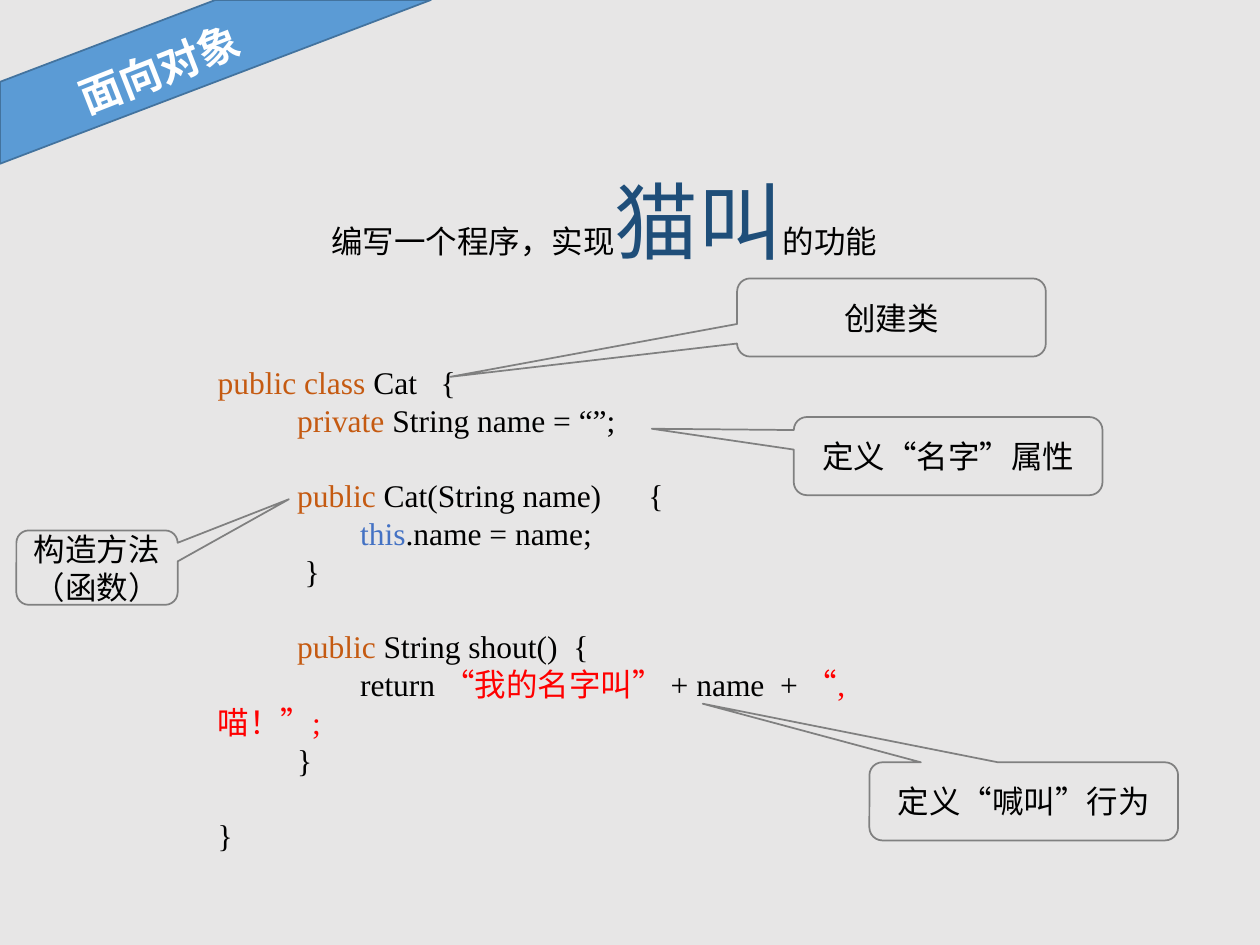
from lxml import etree
from pptx import Presentation
from pptx import util as u
from pptx.dml.color import RGBColor
from pptx.enum import shapes, text
from pptx.oxml.ns import qn

CJK, SERIF = "Noto Sans CJK SC", "Times New Roman"
BLACK, ORANGE, BLUE, RED = "000000", "C55A11", "4472C4", "FF0000"
LINE_HEIGHT = 21.6  # points, the gap left by one empty code line

# Code lines: first-line indent, empty lines above, coloured spans
CODE = [
    (0, 0, [("public class", ORANGE), (" Cat   {", BLACK)]),
    (0.63, 0, [("private", ORANGE), (" String name = “”;", BLACK)]),
    (0.63, 1, [("public", ORANGE), (" Cat(String name)      {", BLACK)]),
    (1.13, 0, [("this", BLUE), (".name = name;", BLACK)]),
    (0.69, 0, [("}", BLACK)]),
    (0.63, 1, [("public", ORANGE), (" String shout()  {", BLACK)]),
    (1.13, 0, [("return ", BLACK), ("“我的名字叫” ", RED),
               ("+ name  + ", BLACK), ("“,喵！”;", RED)]),
    (0.63, 0, [("}", BLACK)]),
    (0, 1, [("}", BLACK)]),
]

# Callouts: left, top, width, height, pointer x and y, label
CALLOUTS = [
    (5.85, 2.21, 2.45, 0.62, -1.43, 0.76, "创建类"),
    (6.3, 3.31, 2.45, 0.62, -0.96, -0.35, "定义“名字”属性"),
    (6.9, 6.05, 2.45, 0.62, -1.04, -1.25, "定义“喊叫”行为"),
    (0.13, 4.21, 1.28, 0.59, 1.19, -0.92, "构造方法（函数）"),
]


def color(value):
    return RGBColor.from_string(value)


def add_span(para, words, size, font, fill, bold=False):
    span = para.add_run()
    span.text = words
    span.font.size = u.Pt(size)
    span.font.name = font
    span.font.bold = bold
    span.font.color.rgb = color(fill)
    # Chinese characters use the same face everywhere
    east_asian = etree.SubElement(span._r.get_or_add_rPr(), qn("a:ea"))
    east_asian.set("typeface", CJK)


def add_text_box(page, left, top, width, height, wrap=False):
    box = page.shapes.add_textbox(*map(u.Inches, (left, top, width, height)))
    box.text_frame.word_wrap = wrap
    return box


def add_shape(page, kind, left, top, width, height, line):
    shape = page.shapes.add_shape(kind, *map(u.Inches, (left, top, width, height)))
    shape.shadow.inherit = False
    shape.line.color.rgb = color(line)
    shape.line.width = u.Pt(1)
    return shape


def add_callout(page, left, top, width, height, tip_x, tip_y, label):
    kind = shapes.MSO_SHAPE.ROUNDED_RECTANGULAR_CALLOUT
    callout = add_shape(page, kind, left, top, width, height, "808080")
    callout.fill.background()
    callout.adjustments[0] = tip_x
    callout.adjustments[1] = tip_y
    frame = callout.text_frame
    frame.word_wrap = True
    frame.vertical_anchor = text.MSO_ANCHOR.MIDDLE
    para = frame.paragraphs[0]
    para.alignment = text.PP_ALIGN.CENTER
    add_span(para, label, 18, CJK, BLACK)


def add_code(page):
    frame = add_text_box(page, 1.63, 2.83, 5.44, 3.74, wrap=True).text_frame
    for number, (indent, gap, spans) in enumerate(CODE):
        para = frame.add_paragraph() if number else frame.paragraphs[0]
        para.space_before = u.Pt(gap * LINE_HEIGHT)
        layout = para._p.get_or_add_pPr()
        layout.set("marL", "0")
        layout.set("indent", str(u.Inches(indent)))
        for words, fill in spans:
            add_span(para, words, 18, SERIF, fill)


def add_banner(page):
    stripe = add_shape(page, shapes.MSO_SHAPE.DIAGONAL_STRIPE, 0, 0, 3.42, 1.3, "43739E")
    stripe.fill.solid()
    stripe.fill.fore_color.rgb = color("5B9BD5")
    box = add_text_box(page, 0.5, 0.29, 1.56, 0.5)
    box.rotation = 338.6
    add_span(box.text_frame.paragraphs[0], "面向对象", 24, CJK, "FFFFFF", bold=True)


def add_heading(page):
    para = add_text_box(page, 2.53, 1.3, 4.58, 0.91).text_frame.paragraphs[0]
    add_span(para, "编写一个程序，实现", 18, CJK, BLACK)
    add_span(para, "猫叫", 48, CJK, "1F4E79")
    add_span(para, "的功能", 18, CJK, BLACK)


def main():
    deck = Presentation()
    deck.slide_width, deck.slide_height = u.Inches(10), u.Inches(7.5)
    page = deck.slides.add_slide(deck.slide_layouts[6])
    page.background.fill.solid()
    page.background.fill.fore_color.rgb = color("E7E6E6")

    add_banner(page)
    add_code(page)
    for callout in CALLOUTS:
        add_callout(page, *callout)
    add_heading(page)
    deck.save("out.pptx")


if __name__ == "__main__":
    main()
